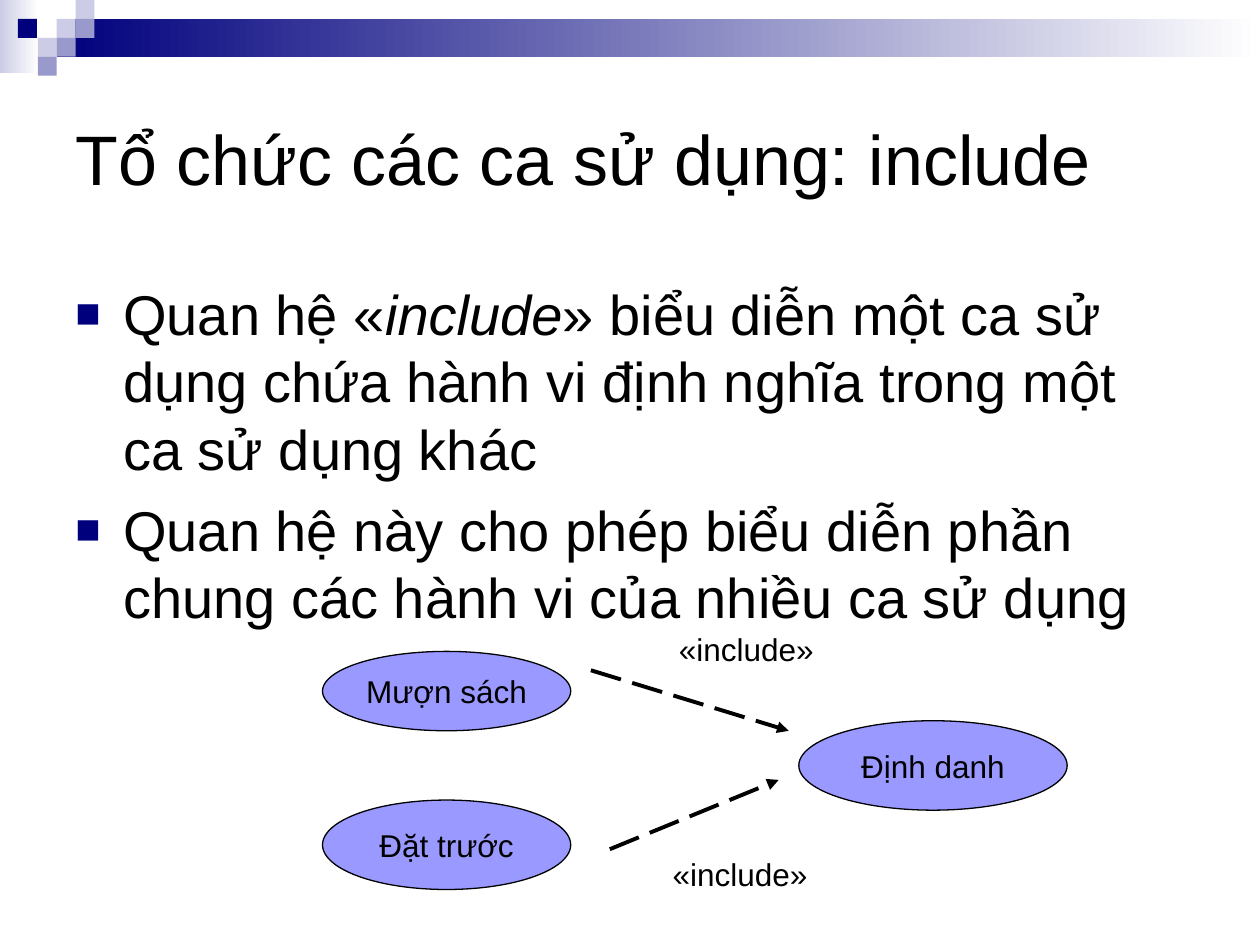
import pptx
import pptx.dml.color
import pptx.enum.dml
import pptx.enum.shapes
import pptx.enum.text
import pptx.oxml
import pptx.oxml.ns
import pptx.util

Inches = pptx.util.Inches
Pt = pptx.util.Pt
RGB = pptx.dml.color.RGBColor.from_string
SHAPE = pptx.enum.shapes.MSO_SHAPE
ANCHOR = pptx.enum.text.MSO_ANCHOR
ALIGN = pptx.enum.text.PP_ALIGN

COLORS = {
    "white": "FFFFFF", "black": "000000", "navy": "00007D",
    "pale": "CCCCE6", "mid": "9999CC", "oval": "9999FF",
}
NS = pptx.oxml.ns.nsdecls("a")

deck = pptx.Presentation()
deck.slide_width, deck.slide_height = Inches(10), Inches(7.5)
slide = deck.slides.add_slide(deck.slide_layouts[6])
shapes = slide.shapes


def write(holder, paragraphs, size=18, align=ALIGN.LEFT, anchor=ANCHOR.TOP,
          wrap=True, bullet=None, gap=0):
    """Fill a shape with paragraphs, each a list of (words, italic) runs."""
    frame = holder.text_frame
    frame.word_wrap = wrap
    frame.vertical_anchor = anchor
    for index, runs in enumerate(paragraphs):
        paragraph = frame.add_paragraph() if index else frame.paragraphs[0]
        paragraph.alignment = align
        paragraph.space_before = Pt(gap if index else 0)
        if bullet:
            props = paragraph._p.get_or_add_pPr()
            props.set("marL", str(Inches(0.38)))
            props.set("indent", str(Inches(-0.38)))
            for tag in (f'<a:buClr {NS}><a:srgbClr val="{COLORS["navy"]}"/></a:buClr>',
                        f'<a:buSzPct {NS} val="75000"/>',
                        f'<a:buFont {NS} typeface="Arial"/>',
                        f'<a:buChar {NS} char="{bullet}"/>'):
                props.append(pptx.oxml.parse_xml(tag))
        for words, italic in runs:
            run = paragraph.add_run()
            run.text = words
            run.font.name = "Arial"
            run.font.size = Pt(size)
            run.font.italic = italic
            run.font.color.rgb = RGB(COLORS["black"])


def add_filled(kind, left, top, width, height, color, fade=False):
    """Add an unlined shape, solid or fading to white on its right."""
    shape = shapes.add_shape(kind, Inches(left), Inches(top), Inches(width), Inches(height))
    shape.shadow.inherit = False
    shape.line.fill.background()
    if fade:
        shape.fill.gradient()
        shape.fill.gradient_angle = 180
        for stop, name in zip(shape.fill.gradient_stops, ("white", color)):
            stop.color.rgb = RGB(COLORS[name])
    else:
        shape.fill.solid()
        shape.fill.fore_color.rgb = RGB(COLORS[color])
    return shape


# Header band and its mosaic of small squares
add_filled(SHAPE.RECTANGLE, 0, 0, 0.31, 0.58, "pale", fade=True)
add_filled(SHAPE.RECTANGLE, 0.45, 0.15, 9.55, 0.3, "navy", fade=True)
TILE = 0.15
for column, row, color in [(3, 1, "pale"), (4, 0, "pale"), (4, 1, "mid"), (2, 2, "pale"),
                           (0.95, 1, "navy"), (3, 2, "mid"), (2, 3, "mid")]:
    add_filled(SHAPE.RECTANGLE, column * TILE, row * TILE, TILE, TILE, color)

title = shapes.add_textbox(Inches(0.5), Inches(0.5), Inches(9), Inches(1.5))
write(title, [[("Tổ chức các ca sử dụng: include", False)]], size=40, anchor=ANCHOR.MIDDLE)

body = shapes.add_textbox(Inches(0.5), Inches(2.17), Inches(9), Inches(4.25))
write(body, [
    [("Quan hệ «", False), ("include", True),
     ("» biểu diễn một ca sử dụng chứa hành vi định nghĩa trong một ca sử dụng khác", False)],
    [("Quan hệ này cho phép biểu diễn phần chung các hành vi của nhiều ca sử dụng", False)],
], size=32, bullet="■", gap=8)

# Use case diagram
for name, left, top, width, height in [("Mượn sách", 2.56, 5.17, 1.97, 0.63),
                                       ("Đặt trước", 2.56, 6.35, 1.97, 0.71),
                                       ("Định danh", 6.34, 5.72, 2.13, 0.71)]:
    use_case = add_filled(SHAPE.OVAL, left, top, width, height, "oval")
    use_case.line.color.rgb = RGB(COLORS["black"])
    use_case.line.width = Pt(0.75)
    write(use_case, [[(name, False)]], align=ALIGN.CENTER, anchor=ANCHOR.MIDDLE, wrap=False)

for ends in [(4.69, 5.32, 6.26, 5.8), (4.84, 6.74, 6.18, 6.19)]:
    include_arrow = shapes.add_connector(pptx.enum.shapes.MSO_CONNECTOR.STRAIGHT,
                                         *[Inches(value) for value in ends])
    include_arrow.line.color.rgb = RGB(COLORS["black"])
    include_arrow.line.width = Pt(2.25)
    include_arrow.line.dash_style = pptx.enum.dml.MSO_LINE.LONG_DASH
    include_arrow.line._get_or_add_ln().append(
        pptx.oxml.parse_xml(f'<a:tailEnd {NS} type="triangle"/>'))
    include_arrow._element.spPr.append(pptx.oxml.parse_xml(f"<a:effectLst {NS}/>"))

for left, top in [(5.29, 4.95), (5.24, 6.74)]:
    include_label = shapes.add_textbox(Inches(left), Inches(top), Inches(1.27), Inches(0.4))
    write(include_label, [[("«include»", False)]], wrap=False)

deck.save("out.pptx")
